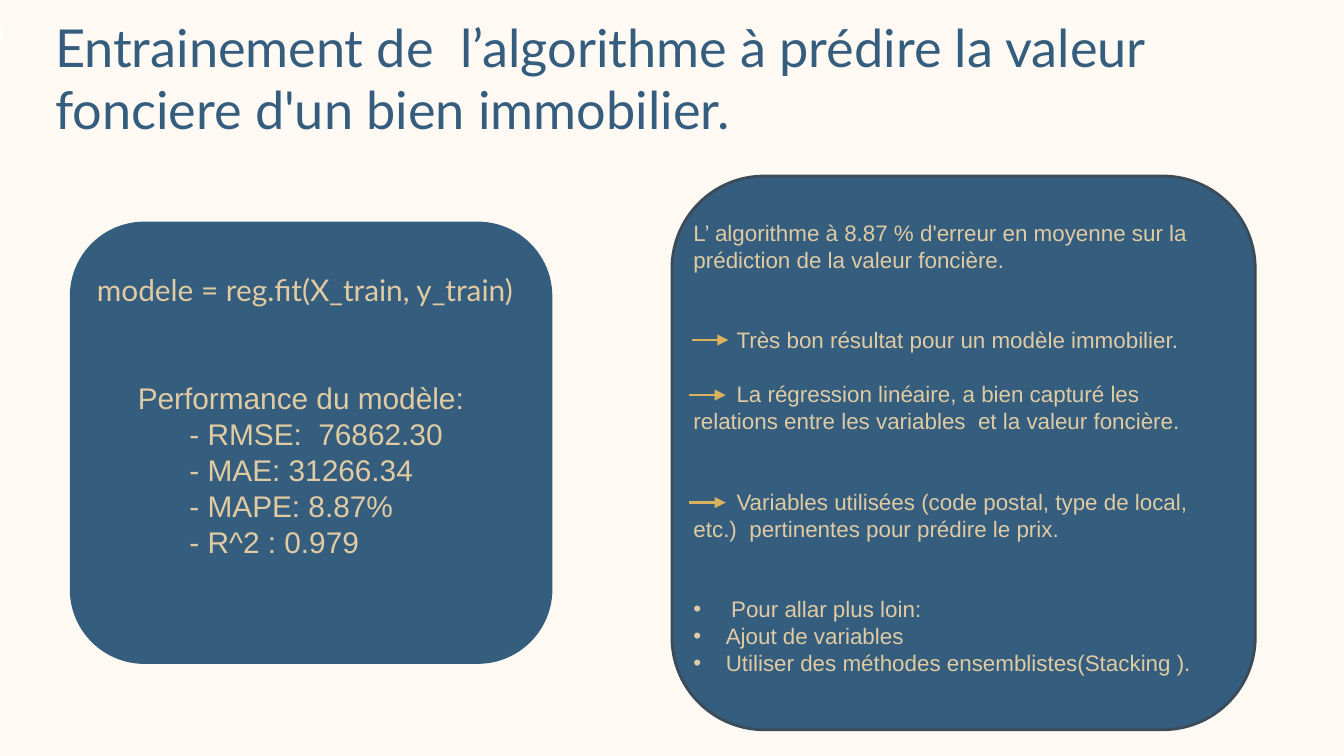
import pptx
import pptx.dml.color
import pptx.enum.shapes
import pptx.enum.text
import pptx.oxml.ns
import pptx.util
from lxml import etree

Inches = pptx.util.Inches
Pt = pptx.util.Pt
RGBColor = pptx.dml.color.RGBColor
Align = pptx.enum.text.PP_ALIGN
Shapes = pptx.enum.shapes.MSO_SHAPE
qn = pptx.oxml.ns.qn

CREAM = RGBColor(0xFF, 0xF9, 0xF3)
BLUE = RGBColor(0x35, 0x5D, 0x7E)
SLATE = RGBColor(0x3B, 0x4B, 0x58)
SAND = RGBColor(0xE0, 0xCB, 0xA3)
GOLD = RGBColor(0xD8, 0xB2, 0x5C)
WHITE = RGBColor(0xFF, 0xFF, 0xFF)


class SlideBuilder:
    heading_font = "Lato"
    text_font = "Arial"
    line_width = Pt(1.5)

    def __init__(self, slide):
        self.slide = slide
        slide.background.fill.solid()
        slide.background.fill.fore_color.rgb = CREAM

    def shape(self, kind, left, top, width, height, fill, line=None):
        shape = self.slide.shapes.add_shape(
            kind, Inches(left), Inches(top), Inches(width), Inches(height))
        shape.shadow.inherit = False
        shape.fill.solid()
        shape.fill.fore_color.rgb = fill
        if line is None:
            shape.line.fill.background()
        else:
            shape.line.color.rgb = line
            shape.line.width = self.line_width
        return shape

    def card(self, left, top, width, height, line):
        card = self.shape(Shapes.ROUNDED_RECTANGLE, left, top, width, height, BLUE, line)
        self.slide.shapes.title.element.addprevious(card.element)

    def arrow(self, left, top):
        arrow = self.slide.shapes.add_connector(
            pptx.enum.shapes.MSO_CONNECTOR.STRAIGHT,
            Inches(left), Inches(top), Inches(left + 0.27), Inches(top))
        arrow.line.color.rgb = GOLD
        arrow.line.width = self.line_width
        etree.SubElement(arrow.line._get_or_add_ln(), qn("a:tailEnd"), type="triangle")
        etree.SubElement(arrow.element.spPr, qn("a:effectLst"))

    def place(self, placeholder, left, top, width, height):
        placeholder.left, placeholder.top = Inches(left), Inches(top)
        placeholder.width, placeholder.height = Inches(width), Inches(height)
        frame = placeholder.text_frame
        frame.word_wrap = True
        frame.auto_size = pptx.enum.text.MSO_AUTO_SIZE.NONE
        frame.vertical_anchor = pptx.enum.text.MSO_ANCHOR.TOP
        return frame

    def format_runs(self, paragraph, font, size, color):
        for run in paragraph.runs:
            run.font.name = font
            run.font.size = Pt(size)
            run.font.color.rgb = color

    def title(self, text, left, top, width, height):
        frame = self.place(self.slide.shapes.title, left, top, width, height)
        frame.text = text
        frame.paragraphs[0].alignment = Align.LEFT
        self.format_runs(frame.paragraphs[0], self.heading_font, 28, BLUE)

    def body(self, index, box, size, pitch, items):
        frame = self.place(self.slide.placeholders[index], *box)
        for number, (text, options) in enumerate(items):
            paragraph = frame.paragraphs[0] if number == 0 else frame.add_paragraph()
            paragraph.text = text
            paragraph.alignment = options.get("align", Align.LEFT)
            paragraph.line_spacing = Pt(pitch)
            paragraph.space_before = Pt(pitch * options.get("gap", 0))
            self.indent(paragraph, **options.get("indent", {}))
            self.format_runs(paragraph, options.get("font", self.text_font), size, SAND)

    def indent(self, paragraph, margin=0, first=0, bullet=False):
        properties = paragraph._p.get_or_add_pPr()
        properties.set("marL", str(Inches(margin)))
        properties.set("indent", str(Inches(first)))
        if bullet:
            color = etree.SubElement(properties, qn("a:buClr"))
            etree.SubElement(color, qn("a:srgbClr"), val=str(SAND))
            etree.SubElement(properties, qn("a:buFont"), typeface=self.text_font)
            etree.SubElement(properties, qn("a:buChar"), char="•")
        else:
            etree.SubElement(properties, qn("a:buNone"))


def main():
    presentation = pptx.Presentation()
    presentation.slide_width = Inches(10)
    presentation.slide_height = presentation.slide_width * 9 // 16
    slide = presentation.slides.add_slide(presentation.slide_layouts[3])
    builder = SlideBuilder(slide)

    builder.card(5, 1.31, 4.34, 4.12, SLATE)
    builder.card(0.53, 1.66, 3.57, 3.27, BLUE)
    builder.title("Entrainement de  l’algorithme à prédire la valeur "
                  "fonciere d'un bien immobilier.", 0.31, 0.06, 9.14, 1.04)

    metrics = ["- RMSE:  76862.30", "- MAE: 31266.34", "- MAPE: 8.87%", "- R^2 : 0.979"]
    performance = [
        ("modele = reg.fit(X_train, y_train)",
         {"align": Align.CENTER, "font": builder.heading_font}),
        ("Performance du modèle: ", {"align": Align.CENTER, "gap": 2}),
    ] + [(metric, {"indent": {"margin": 1}}) for metric in metrics]
    builder.body(1, (0.31, 1.97, 3.92, 2.5), 16, 19.3, performance)

    after_arrow = {"first": 0.32}
    bullet = {"margin": 0.24, "first": -0.24, "bullet": True}
    wide_bullet = {"margin": 0.28, "first": -0.28, "bullet": True}
    findings = [
        ("L’ algorithme à 8.87 % d'erreur en moyenne sur la prédiction "
         "de la valeur foncière.", {}),
        ("Très bon résultat pour un modèle immobilier.",
         {"gap": 2, "indent": after_arrow}),
        ("La régression linéaire, a bien capturé les relations entre les variables"
         "  et la valeur foncière.", {"gap": 1, "indent": after_arrow}),
        ("Variables utilisées (code postal, type de local, etc.)"
         "  pertinentes pour prédire le prix.", {"gap": 2, "indent": after_arrow}),
        ("Pour allar plus loin:", {"gap": 2, "indent": wide_bullet}),
        ("Ajout de variables", {"indent": bullet}),
        ("Utiliser des méthodes ensemblistes(Stacking ).", {"indent": bullet}),
    ]
    builder.body(2, (5.06, 1.58, 4.1, 3.7), 12, 14.4, findings)

    for left, top in [(5.15, 2.53), (5.13, 2.94), (5.13, 3.74)]:
        builder.arrow(left, top)
    builder.shape(Shapes.RECTANGLE, 0, 0.2, 0.02, 0.1, WHITE)

    presentation.save("out.pptx")


if __name__ == "__main__":
    main()
